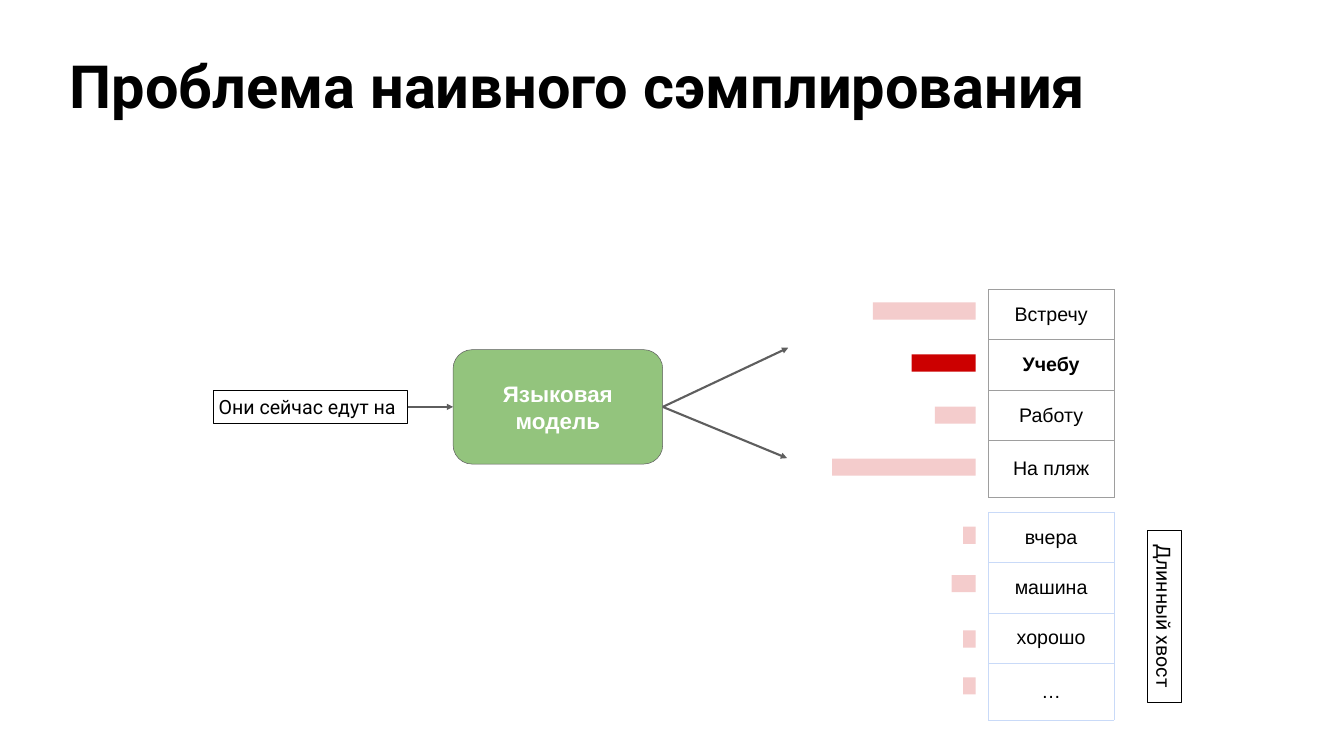
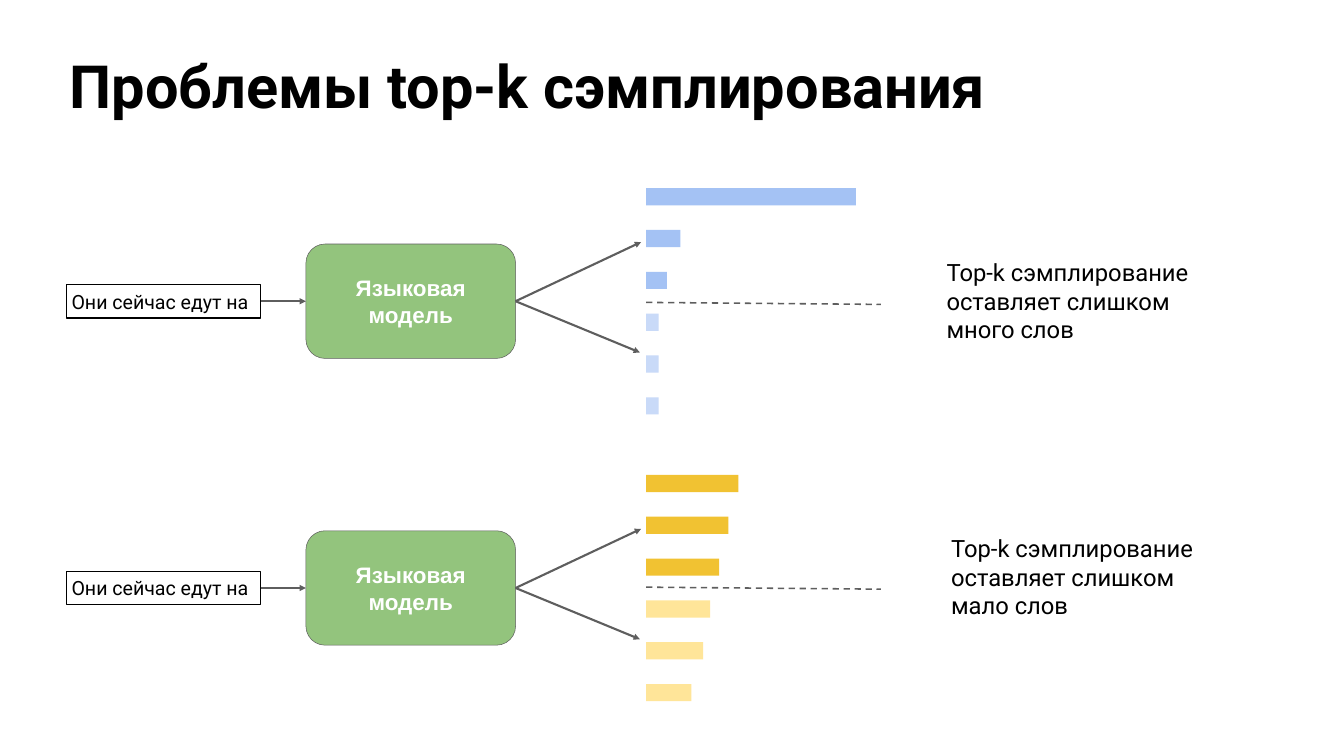
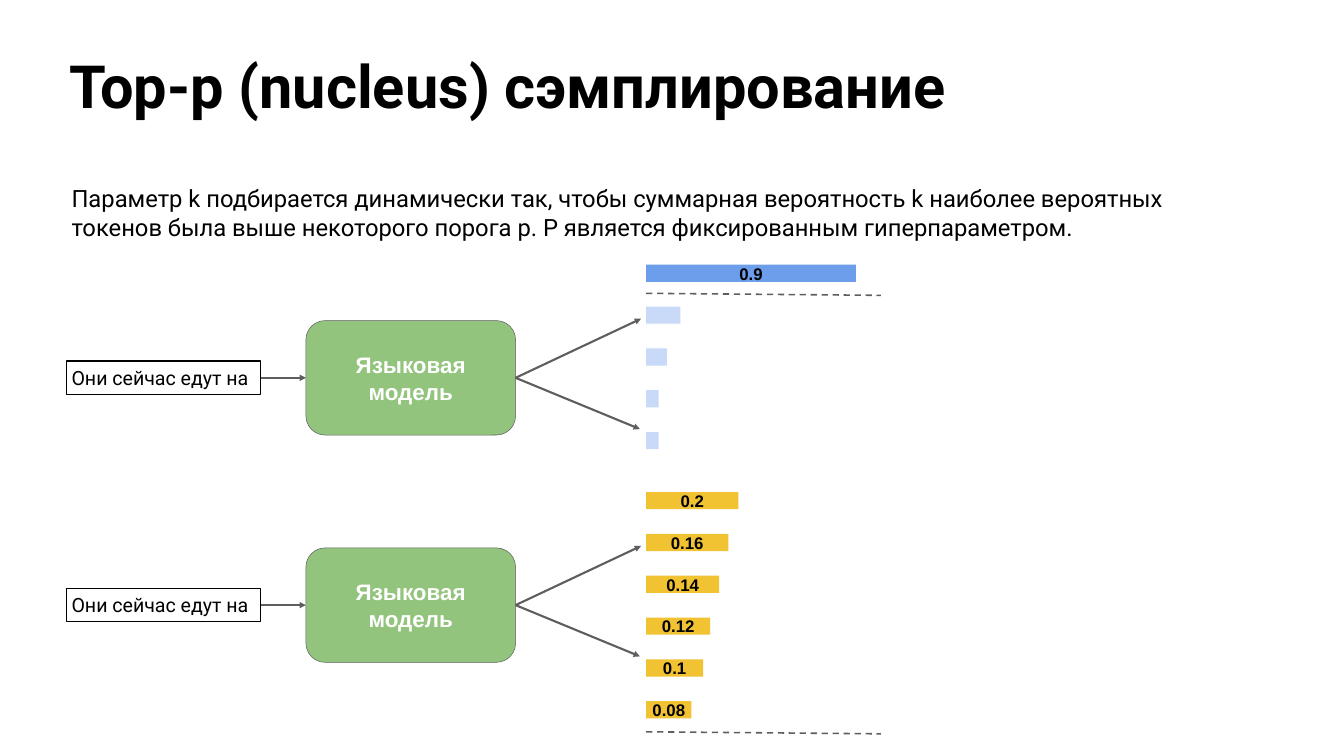
from lxml import etree
from pptx import Presentation
from pptx.dml.color import RGBColor
from pptx.enum.dml import MSO_LINE
from pptx.enum.shapes import MSO_CONNECTOR, MSO_SHAPE
from pptx.enum.text import MSO_ANCHOR, MSO_AUTO_SIZE, PP_ALIGN
from pptx.oxml.ns import qn
from pptx.util import Inches, Pt

RECT, ROUNDED = MSO_SHAPE.RECTANGLE, MSO_SHAPE.ROUNDED_RECTANGLE
STRAIGHT, DASH = MSO_CONNECTOR.STRAIGHT, MSO_LINE.DASH
LEFT, CENTER = PP_ALIGN.LEFT, PP_ALIGN.CENTER
TOP, MIDDLE = MSO_ANCHOR.TOP, MSO_ANCHOR.MIDDLE
GROW, FIXED = MSO_AUTO_SIZE.SHAPE_TO_FIT_TEXT, MSO_AUTO_SIZE.NONE

BLACK = RGBColor(0x00, 0x00, 0x00)
WHITE = RGBColor(0xFF, 0xFF, 0xFF)
GRAY = RGBColor(0x5E, 0x5E, 0x5E)
TABLE_GRAY = RGBColor(0x9E, 0x9E, 0x9E)
GREEN = RGBColor(0x93, 0xC4, 0x7D)
RED = RGBColor(0xCC, 0x00, 0x00)
PINK = RGBColor(0xF4, 0xCC, 0xCC)
STRONG_BLUE = RGBColor(0x6D, 0x9E, 0xEB)
BLUE = RGBColor(0xA4, 0xC2, 0xF4)
PALE_BLUE = RGBColor(0xC9, 0xDA, 0xF8)
YELLOW = RGBColor(0xF1, 0xC2, 0x32)
PALE_YELLOW = RGBColor(0xFF, 0xE5, 0x99)

HEAD_FONT, SHAPE_FONT = "Roboto", "Arial"

# The grid has square cells; everything below is in columns and rows
COLS, ROWS = 80, 45
MARGIN = 3.96
INSET = 0.3
PROMPT_W, PROMPT_H = 11.55, 2
MODEL_W, MODEL_H = 12.48, 6.81
GAP = 2.7
BAR_X, BAR_H, BAR_PITCH = 38.46, 1.02, 2.49
FIRST_BAR = -6.73  # top of the first bar from the middle of the model
FORK = [(7.47, -3.52), (7.4, 3.05)]  # arrow tips from the model's right side
CUT_W, CUT_DROP = 13.98, 0.12

BLUE_WIDTHS = [12.48, 2.04, 1.23, 0.75, 0.75, 0.75]
YELLOW_WIDTHS = [5.49, 4.89, 4.35, 3.81, 3.39, 2.7]


class Deck:
    def __init__(self):
        self.prs = Presentation()
        self.prs.slide_width, self.prs.slide_height = Inches(26.67), Inches(15)
        self.slide = None

    def x(self, cols):
        return round(self.prs.slide_width * cols / COLS)

    def y(self, rows):
        return round(self.prs.slide_height * rows / ROWS)

    def box(self, x, y, w, h):
        return self.x(x), self.y(y), self.x(w), self.y(h)

    def add_run(self, p, text, size, font, color=BLACK, bold=False, align=LEFT):
        p.alignment = align
        r = p.add_run()
        r.text = text
        r.font.name, r.font.size, r.font.bold = font, Pt(size), bold
        r.font.color.rgb = color

    def set_insets(self, target, inset=INSET):
        target.margin_left = target.margin_right = self.x(inset)
        target.margin_top = target.margin_bottom = self.y(inset)

    def fill_text(self, tf, text, size, font=HEAD_FONT, color=BLACK, bold=False,
                  align=LEFT, anchor=TOP, inset=INSET):
        tf.word_wrap = True
        tf.vertical_anchor = anchor
        self.set_insets(tf, inset)
        self.add_run(tf.paragraphs[0], text, size, font, color, bold, align)

    def new_slide(self, title):
        self.slide = self.prs.slides.add_slide(self.prs.slide_layouts[5])
        sp = self.slide.shapes.title
        sp.left, sp.top, sp.width, sp.height = self.box(MARGIN, 3.54, 72.09, 4.71)
        tf = sp.text_frame
        self.fill_text(tf, title, 85, bold=True, inset=0.18)
        tf.paragraphs[0].line_spacing = 0.8
        tf.auto_size = FIXED

    def shape(self, kind, x, y, w, h, fill=None, line=None, line_width=0.75):
        sp = self.slide.shapes.add_shape(kind, *self.box(x, y, w, h))
        sp.shadow.inherit = False
        if fill is None:
            sp.fill.background()
        else:
            sp.fill.solid()
            sp.fill.fore_color.rgb = fill
        if line is None:
            sp.line.fill.background()
        else:
            sp.line.color.rgb = line
            sp.line.width = Pt(line_width)
        return sp

    def label(self, text, x, y, w, line_width, align=LEFT):
        sp = self.shape(RECT, x, y, w, PROMPT_H, line=BLACK, line_width=line_width)
        self.fill_text(sp.text_frame, text, 28, align=align)
        sp.text_frame.auto_size = GROW
        return sp

    def text(self, text, x, y, w, h):
        sp = self.slide.shapes.add_textbox(*self.box(x, y, w, h))
        self.fill_text(sp.text_frame, text, 34)
        sp.text_frame.auto_size = GROW

    def line(self, x1, y1, x2, y2, width=3):
        cxn = self.slide.shapes.add_connector(
            STRAIGHT, self.x(x1), self.y(y1), self.x(x2), self.y(y2))
        cxn.line.color.rgb = GRAY
        cxn.line.width = Pt(width)
        etree.SubElement(cxn._element.spPr, qn("a:effectLst"))
        return cxn

    def arrow(self, x1, y1, x2, y2, begin, end=None):
        cxn = self.line(x1, y1, x2, y2)
        cxn.begin_connect(begin, 3)
        if end is not None:
            cxn.end_connect(end, 1)
        ln = cxn._element.spPr.find(qn("a:ln"))
        etree.SubElement(ln, qn("a:tailEnd"), type="triangle")

    def cut(self, y):
        cxn = self.line(BAR_X, y, BAR_X + CUT_W, y + CUT_DROP, 2.25)
        cxn.line.dash_style = DASH

    def pipeline(self, x, mid):
        """Prompt, model and the fork of arrows, all centred on row mid."""
        prompt = self.label("Они сейчас едут на", x, mid - PROMPT_H / 2, PROMPT_W, 1.5)
        model_x = x + PROMPT_W + GAP
        model = self.shape(ROUNDED, model_x, mid - MODEL_H / 2, MODEL_W, MODEL_H,
                           GREEN, GRAY)
        self.fill_text(model.text_frame, "Языковая модель", 32, SHAPE_FONT, WHITE, True,
                       CENTER, MIDDLE)
        self.arrow(x + PROMPT_W, mid, model_x, mid, prompt, model)
        right = model_x + MODEL_W
        for dx, dy in FORK:
            self.arrow(right, mid, right + dx, mid + dy, model)

    def bars(self, mid, widths, colors, values=()):
        for i, (w, color) in enumerate(zip(widths, colors)):
            top = mid + FIRST_BAR + i * BAR_PITCH
            sp = self.shape(RECT, BAR_X, top, w, BAR_H, color)
            if i < len(values):
                self.fill_text(sp.text_frame, values[i], 24, SHAPE_FONT, bold=True,
                               align=CENTER, anchor=MIDDLE)

    def word_table(self, y, words, border, bold_word=None):
        heights = [3, 3, 3, 3.39]
        frame = self.slide.shapes.add_table(
            len(words), 1, *self.box(58.83, y, 7.47, sum(heights)))
        table = frame.table
        table.first_row = table.horz_banding = False
        for i, (word, h) in enumerate(zip(words, heights)):
            table.rows[i].height = self.y(h)
            cell = table.cell(i, 0)
            self.set_insets(cell)
            cell.vertical_anchor = MIDDLE
            self.add_run(cell.text_frame.paragraphs[0], word, 28, SHAPE_FONT,
                         bold=word == bold_word, align=CENTER)
            self.borders(cell, border)
            cell.fill.background()

    def borders(self, cell, color):
        tc_pr = cell._tc.get_or_add_tcPr()
        for side in ("a:lnL", "a:lnR", "a:lnT", "a:lnB"):
            ln = etree.SubElement(tc_pr, qn(side), w=str(Pt(0.75)))
            fill = etree.SubElement(ln, qn("a:solidFill"))
            etree.SubElement(fill, qn("a:srgbClr"), val=str(color))


def naive_sampling(deck):
    deck.new_slide("Проблема наивного сэмплирования")
    deck.pipeline(12.72, 24.22)

    # Likely words, then the long tail
    deck.word_table(17.22, ["Встречу", "Учебу", "Работу", "На пляж"], TABLE_GRAY, "Учебу")
    deck.word_table(30.48, ["вчера", "машина", "хорошо", "…"], PALE_BLUE)

    # Probability bars grow leftwards from one edge
    bars_right = 58.08
    likely = [(18 + 3.1 * i, w) for i, w in enumerate([6.12, 3.81, 2.43, 8.55])]
    tail = [(31.35, 0.75), (34.23, 1.44), (37.53, 0.75), (40.32, 0.75)]
    for i, (top, w) in enumerate(likely + tail):
        deck.shape(RECT, bars_right - w, top, w, BAR_H, RED if i == 1 else PINK)

    deck.label("Длинный хвост", 64.17, 35.67, 10.26, 0.75, CENTER).rotation = 90


def top_k_problems(deck):
    deck.new_slide("Проблемы top-k сэмплирования")
    cases = [
        (17.93, BLUE_WIDTHS, BLUE, PALE_BLUE, 18, 56.04, 15.06, "много"),
        (35, YELLOW_WIDTHS, YELLOW, PALE_YELLOW, 34.95, 56.31, 31.47, "мало"),
    ]
    for mid, widths, kept, dropped, cut_y, text_x, text_y, amount in cases:
        deck.pipeline(MARGIN, mid)
        deck.bars(mid, widths, [kept] * 3 + [dropped] * 3)
        deck.text(f"Top-k сэмплирование оставляет слишком {amount} слов",
                  text_x, text_y, 16.02, 5.76)
        deck.cut(cut_y)


def top_p_sampling(deck):
    deck.new_slide("Top-p (nucleus) сэмплирование")
    deck.text("Параметр k подбирается динамически так, чтобы суммарная вероятность k "
              "наиболее вероятных токенов была выше некоторого порога p. "
              "P является фиксированным гиперпараметром.", MARGIN, 10.65, 67.53, 4.05)
    cases = [
        (22.49, BLUE_WIDTHS[:5], [STRONG_BLUE] + [PALE_BLUE] * 4, ["0.9"], 17.46),
        (36.02, YELLOW_WIDTHS, [YELLOW] * 6,
         ["0.2", "0.16", "0.14", "0.12", "0.1", "0.08"], 43.56),
    ]
    for mid, widths, colors, values, cut_y in cases:
        deck.pipeline(MARGIN, mid)
        deck.bars(mid, widths, colors, values)
        deck.cut(cut_y)


def main():
    deck = Deck()
    naive_sampling(deck)
    top_k_problems(deck)
    top_p_sampling(deck)
    deck.prs.save("out.pptx")


if __name__ == "__main__":
    main()
